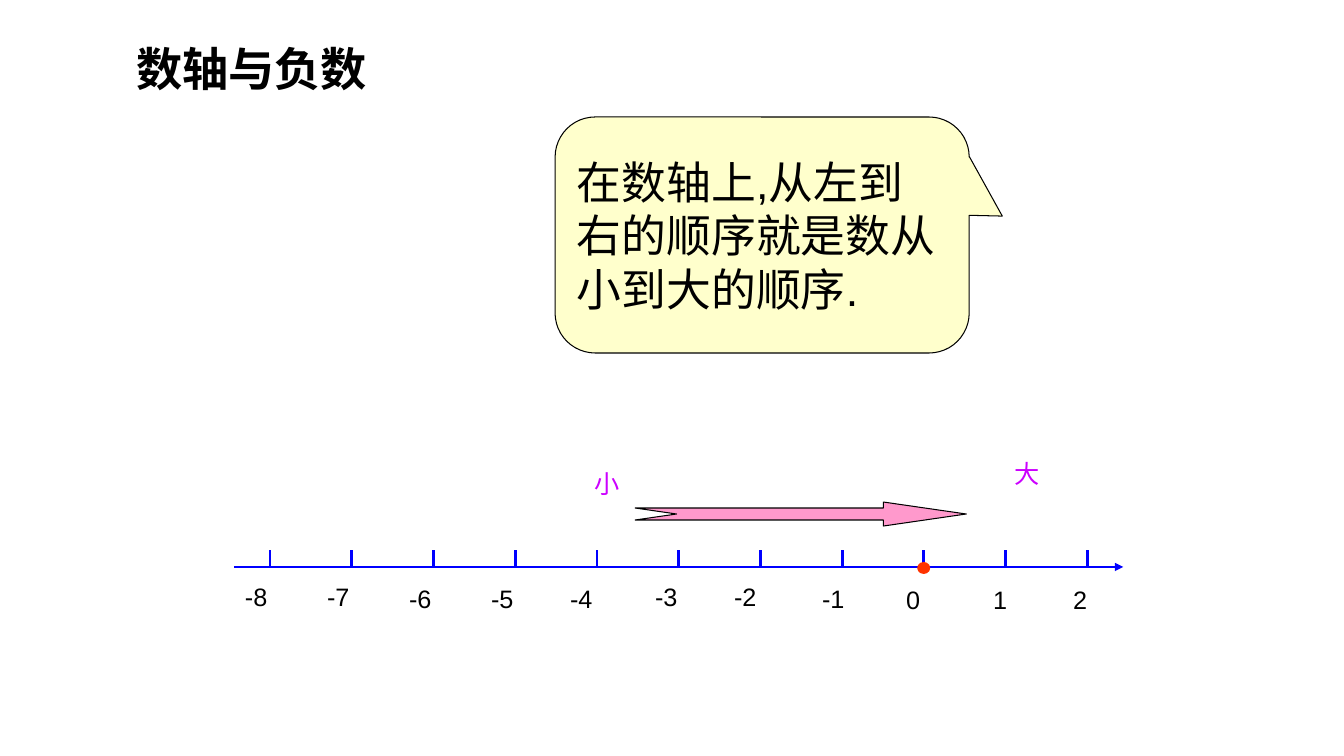
"""Build a slide that shows the order of numbers on a number line."""
from lxml.etree import SubElement
from pptx import Presentation
from pptx.dml.color import RGBColor
from pptx.enum.shapes import MSO_CONNECTOR, MSO_SHAPE
from pptx.enum.text import MSO_ANCHOR, MSO_AUTO_SIZE, PP_ALIGN
from pptx.oxml.ns import qn
from pptx.util import Emu, Inches, Pt

TITLE = "数轴与负数"
RULE = "在数轴上,从左到右的顺序就是数从小到大的顺序."
NUMBER_LABELS = [
    ("-8", 235, 576), ("-7", 317, 576), ("-6", 399, 578), ("-5", 481, 578),
    ("-4", 560, 578), ("-3", 645, 576), ("-2", 724, 576), ("-1", 812, 578),
    ("0", 896, 579), ("1", 983, 579), ("2", 1063, 579),
]
SIZE_LABELS = [("小", 584, 463), ("大", 1004, 453)]
COLORS = {
    "text": "000000", "axis": "0000FF", "arrow": "FF99CC",
    "zero": "FF3300", "callout": "FFFFCC", "size": "CC00FF",
}
CJK_FONT = "Noto Sans CJK JP"
AXIS_LEFT, AXIS_RIGHT, AXIS_Y = 234, 1123, 567
FIRST_TICK, LAST_TICK, TICK_TOP = 270, 1087, 550
LABEL_HEIGHT = 41


def px(length):
    return Emu(round(length * 914400 / 100.8))


def color(name):
    return RGBColor.from_string(COLORS[name])


def write(box, text, size, color_name="text", font="Arial", bold=False):
    frame = box.text_frame
    frame.text = text
    paragraph = frame.paragraphs[0]
    paragraph.alignment = PP_ALIGN.LEFT
    span = paragraph.runs[0]
    span.font.size = Pt(size)
    span.font.name = font
    span.font.bold = bold
    span.font.color.rgb = color(color_name)
    SubElement(span.font._element, qn("a:ea"), typeface=CJK_FONT)


def add_label(slide, text, left, top, width, color_name="text"):
    box = slide.shapes.add_textbox(px(left), px(top), px(width), px(LABEL_HEIGHT))
    box.text_frame.word_wrap = False
    box.text_frame.auto_size = MSO_AUTO_SIZE.SHAPE_TO_FIT_TEXT
    write(box, text, 18, color_name)


def add_axis_line(group, x1, y1, x2, y2):
    line = group.shapes.add_connector(
        MSO_CONNECTOR.STRAIGHT, px(x1), px(y1), px(x2), px(y2))
    line.line.color.rgb = color("axis")
    line.line.width = Pt(2)
    SubElement(line._element.spPr, qn("a:effectLst"))
    return line


def add_filled(slide, preset, left, top, width, height, fill, outlined=True):
    shape = slide.shapes.add_shape(preset, px(left), px(top), px(width), px(height))
    shape.shadow.inherit = False
    shape.fill.solid()
    shape.fill.fore_color.rgb = color(fill)
    if outlined:
        shape.line.color.rgb = color("text")
        shape.line.width = Pt(0.75)
    else:
        shape.line.fill.background()
    return shape


def set_adjustments(shape, values):
    for index, value in enumerate(values):
        shape.adjustments[index] = value


def main():
    deck = Presentation()
    deck.slide_width, deck.slide_height = Inches(13.33), Inches(7.5)
    slide = deck.slides.add_slide(deck.slide_layouts[5])

    title = slide.shapes.title
    title.left, title.top, title.width, title.height = px(126), px(35), px(359), px(67)
    title.text_frame.vertical_anchor = MSO_ANCHOR.MIDDLE
    title.text_frame.auto_size = MSO_AUTO_SIZE.NONE
    write(title, TITLE, 33, font=CJK_FONT, bold=True)

    group = slide.shapes.add_group_shape()
    axis = add_axis_line(group, AXIS_LEFT, AXIS_Y, AXIS_RIGHT, AXIS_Y)
    SubElement(axis.line._get_or_add_ln(), qn("a:tailEnd"), type="triangle")
    pitch = (LAST_TICK - FIRST_TICK) / (len(NUMBER_LABELS) - 1)
    for index, (number, left, top) in enumerate(NUMBER_LABELS):
        tick = FIRST_TICK + index * pitch
        add_axis_line(group, tick, AXIS_Y, tick, TICK_TOP)
        add_label(slide, number, left, top, 44 if number.startswith("-") else 35)

    arrow = add_filled(slide, MSO_SHAPE.NOTCHED_RIGHT_ARROW, 635, 502, 331, 24, "arrow")
    set_adjustments(arrow, [0.5, 3.45])
    add_filled(slide, MSO_SHAPE.OVAL, 917, 562, 13, 12, "zero", outlined=False)

    callout = add_filled(
        slide, MSO_SHAPE.ROUNDED_RECTANGULAR_CALLOUT, 555, 117, 414, 236, "callout")
    set_adjustments(callout, [0.58, -0.08, 0.17])
    callout.text_frame.word_wrap = True
    callout.text_frame.vertical_anchor = MSO_ANCHOR.MIDDLE
    write(callout, RULE, 32)

    for text, left, top in SIZE_LABELS:
        add_label(slide, text, left, top, 45, "size")
    deck.save("out.pptx")


if __name__ == "__main__":
    main()
